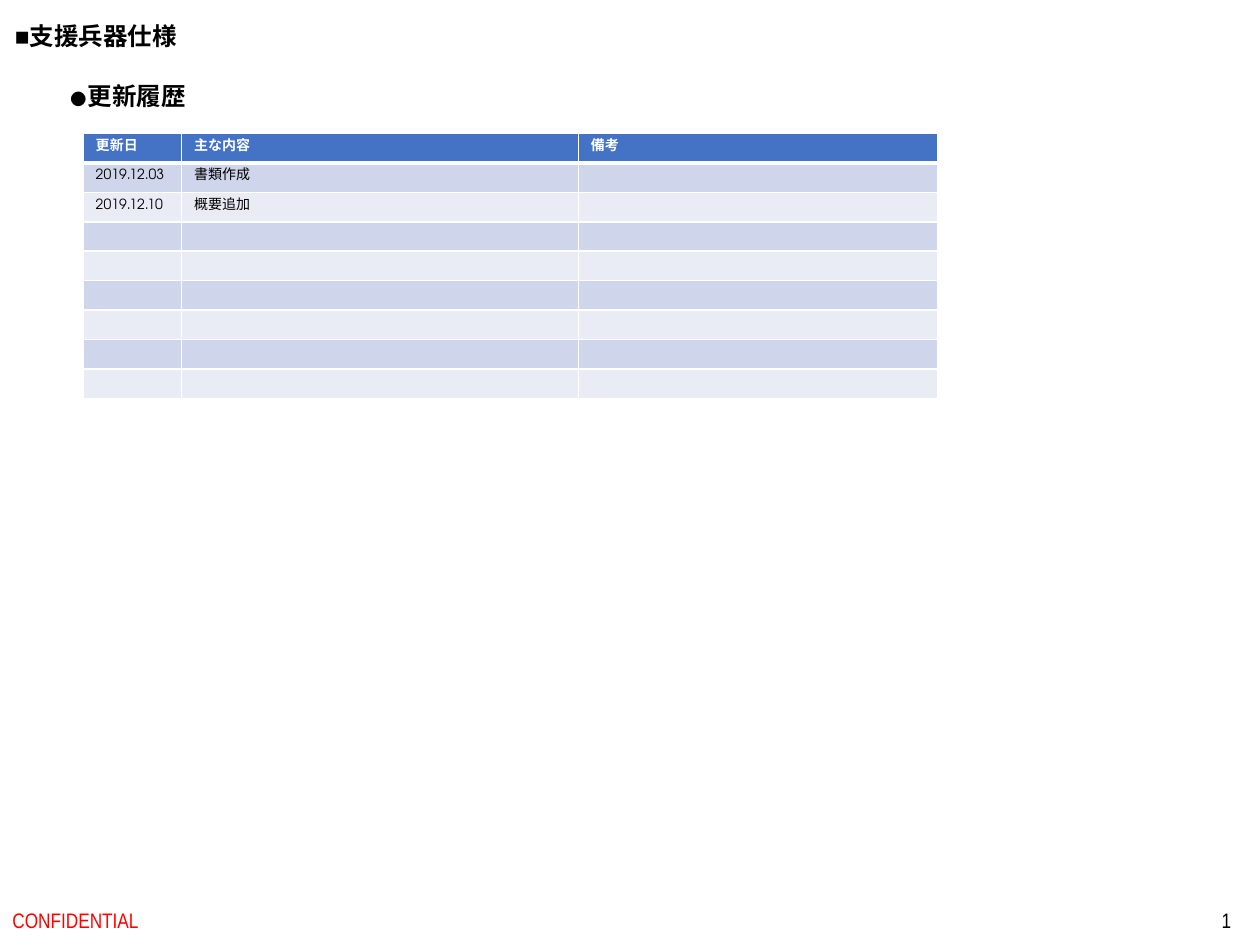
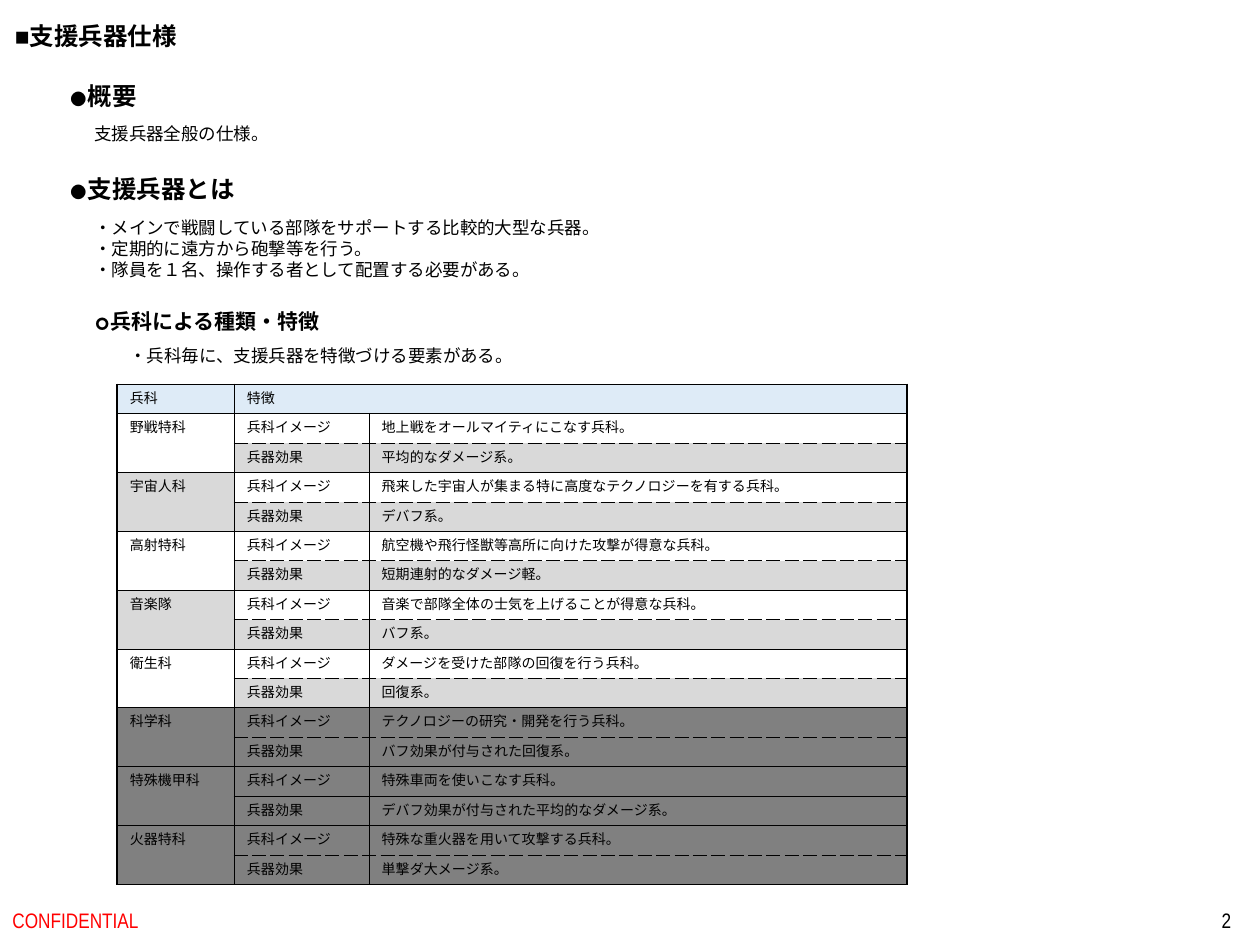
from dataclasses import dataclass

from lxml.etree import SubElement
from pptx import Presentation
from pptx.dml.color import RGBColor
from pptx.enum.text import MSO_ANCHOR, MSO_AUTO_SIZE, PP_ALIGN
from pptx.oxml.ns import qn
from pptx.util import Inches, Pt

BLACK = RGBColor(0x00, 0x00, 0x00)
WHITE = RGBColor(0xFF, 0xFF, 0xFF)
RED = RGBColor(0xFF, 0x00, 0x00)
HEADER_BLUE = RGBColor(0x44, 0x72, 0xC4)
BAND_DARK = RGBColor(0xCF, 0xD5, 0xEA)
BAND_LIGHT = RGBColor(0xE9, 0xEB, 0xF5)
HEADER_PALE = RGBColor(0xDE, 0xEB, 0xF7)
LIGHT_GRAY = RGBColor(0xD9, 0xD9, 0xD9)
DARK_GRAY = RGBColor(0x80, 0x80, 0x80)

BODY_FONT = "TeX Gyre Adventor"
TITLE_FONT = "Arial"
FOOTER_FONT = "Arial Narrow"


@dataclass(frozen=True)
class TextStyle:
    size: float
    font: str = BODY_FONT
    color: RGBColor = BLACK
    bold: bool = False


@dataclass(frozen=True)
class Label:
    left: float
    top: float
    width: float
    height: float
    text: str
    style: TextStyle


@dataclass(frozen=True)
class Border:
    width: float
    color: RGBColor = BLACK
    dash: str = "solid"


@dataclass(frozen=True)
class Branch:
    name: str
    image: str
    effect: str
    available: bool = True
    dashed: bool = True


TITLE = TextStyle(14, TITLE_FONT, bold=True)
HEADING = TextStyle(14, bold=True)
SUBHEADING = TextStyle(12, bold=True)
BODY = TextStyle(10)
HISTORY_HEADER = TextStyle(8, color=WHITE, bold=True)
HISTORY_BODY = TextStyle(8)
BRANCH_TEXT = TextStyle(8, TITLE_FONT)

THICK = Border(1)
THIN = Border(0.5)
DASHED = Border(0.5, dash="sysDash")
WHITE_LINE = Border(1, WHITE)
WHITE_HEAVY = Border(3, WHITE)

PAGE_TITLE = Label(0.02, 0.12, 1.58, 0.34, "■支援兵器仕様", TITLE)

HISTORY_LABELS = [Label(0.45, 0.59, 1.18, 0.34, "●更新履歴", HEADING)]
HISTORY_ROWS = [
    ("更新日", "主な内容", "備考"),
    ("2019.12.03", "書類作成", ""),
    ("2019.12.10", "概要追加", ""),
] + [("", "", "")] * 6

OVERVIEW_LABELS = [
    Label(0.45, 0.59, 0.79, 0.34, "●概要", HEADING),
    Label(0.65, 0.93, 1.6, 0.27, "支援兵器全般の仕様。", BODY),
    Label(0.45, 1.33, 1.58, 0.34, "●支援兵器とは", HEADING),
    Label(0.65, 1.67, 4.27, 0.61,
          "・メインで戦闘している部隊をサポートする比較的大型な兵器。\n"
          "・定期的に遠方から砲撃等を行う。\n"
          "・隊員を１名、操作する者として配置する必要がある。", BODY),
    Label(0.65, 2.4, 2.05, 0.3, "○兵科による種類・特徴", SUBHEADING),
    Label(0.93, 2.69, 3.29, 0.27, "・兵科毎に、支援兵器を特徴づける要素がある。", BODY),
]
BRANCHES = [
    Branch("野戦特科", "地上戦をオールマイティにこなす兵科。", "平均的なダメージ系。"),
    Branch("宇宙人科", "飛来した宇宙人が集まる特に高度なテクノロジーを有する兵科。", "デバフ系。"),
    Branch("高射特科", "航空機や飛行怪獣等高所に向けた攻撃が得意な兵科。", "短期連射的なダメージ軽。"),
    Branch("音楽隊", "音楽で部隊全体の士気を上げることが得意な兵科。", "バフ系。"),
    Branch("衛生科", "ダメージを受けた部隊の回復を行う兵科。", "回復系。"),
    Branch("科学科", "テクノロジーの研究・開発を行う兵科。", "バフ効果が付与された回復系。",
           available=False),
    Branch("特殊機甲科", "特殊車両を使いこなす兵科。", "デバフ効果が付与された平均的なダメージ系。",
           available=False, dashed=False),
    Branch("火器特科", "特殊な重火器を用いて攻撃する兵科。", "単撃ダ大メージ系。",
           available=False),
]


def write_text(frame, text: str, style: TextStyle, align=PP_ALIGN.LEFT) -> None:
    frame.text = text
    for paragraph in frame.paragraphs:
        paragraph.alignment = align
        font = paragraph.font
        font.size = Pt(style.size)
        font.bold = style.bold
        font.color.rgb = style.color
        font.name = style.font
        # East Asian glyphs follow the same line metrics
        defaults = paragraph._p.pPr.find(qn("a:defRPr"))
        SubElement(defaults, qn("a:ea"), typeface=style.font)
        if not text:
            SubElement(paragraph._p, qn("a:endParaRPr"), sz=str(style.size * 100))


def add_label(page, label: Label) -> None:
    box = page.shapes.add_textbox(Inches(label.left), Inches(label.top),
                                  Inches(label.width), Inches(label.height))
    box.text_frame.word_wrap = False
    box.text_frame.auto_size = MSO_AUTO_SIZE.SHAPE_TO_FIT_TEXT
    write_text(box.text_frame, label.text, label.style)


def add_footer(page, left: float, width: float, text: str, color: RGBColor, align) -> None:
    box = page.shapes.add_textbox(Inches(left), Inches(7.1), Inches(width), Inches(0.4))
    box.text_frame.word_wrap = True
    box.text_frame.vertical_anchor = MSO_ANCHOR.MIDDLE
    write_text(box.text_frame, text, TextStyle(12, FOOTER_FONT, color), align)


def add_page(deck, labels: list[Label]):
    page = deck.slides.add_slide(deck.slide_layouts[6])
    add_footer(page, 0, 3.38, "CONFIDENTIAL", RED, PP_ALIGN.LEFT)
    add_footer(page, 7.62, 2.25, str(len(deck.slides)), BLACK, PP_ALIGN.RIGHT)
    for label in [PAGE_TITLE, *labels]:
        add_label(page, label)
    return page


def add_grid(page, left: float, top: float, height: float,
             widths: list[float], row_count: int):
    frame = page.shapes.add_table(row_count, len(widths), Inches(left), Inches(top),
                                  Inches(sum(widths)), Inches(height))
    table = frame.table
    table.first_row = False
    table.horz_banding = False
    for column, width in zip(table.columns, widths):
        column.width = Inches(width)
    for row in table.rows:
        row.height = Inches(height / row_count)
    return table


def style_cell(cell, text: str, style: TextStyle, fill: RGBColor,
               left: Border, right: Border, top: Border, bottom: Border) -> None:
    write_text(cell.text_frame, text, style)
    properties = cell._tc.get_or_add_tcPr()
    sides = {"a:lnL": left, "a:lnR": right, "a:lnT": top, "a:lnB": bottom}
    for tag, border in sides.items():
        line = SubElement(properties, qn(tag), w=str(Pt(border.width)))
        solid = SubElement(line, qn("a:solidFill"))
        SubElement(solid, qn("a:srgbClr"), val=str(border.color))
        SubElement(line, qn("a:prstDash"), val=border.dash)
    cell.fill.solid()
    cell.fill.fore_color.rgb = fill


def add_history_table(page) -> None:
    table = add_grid(page, 0.66, 1.06, 2.1, [0.78, 3.15, 2.85], len(HISTORY_ROWS))
    for row, texts in enumerate(HISTORY_ROWS):
        style = HISTORY_BODY if row else HISTORY_HEADER
        fill = (BAND_DARK if row % 2 else BAND_LIGHT) if row else HEADER_BLUE
        top = WHITE_HEAVY if row == 1 else WHITE_LINE
        bottom = WHITE_LINE if row else WHITE_HEAVY
        for column, text in enumerate(texts):
            style_cell(table.cell(row, column), text, style, fill,
                       WHITE_LINE, WHITE_LINE, top, bottom)


def add_branch_table(page) -> None:
    table = add_grid(page, 0.93, 3.05, 3.97, [0.93, 1.07, 4.27], 1 + 2 * len(BRANCHES))

    # Header row
    for column, text in enumerate(["兵科", "特徴", ""]):
        style_cell(table.cell(0, column), text, BRANCH_TEXT, HEADER_PALE,
                   THICK, THICK, THICK, THICK)
    table.cell(0, 1).merge(table.cell(0, 2))

    # Two rows for each branch
    for index, branch in enumerate(BRANCHES):
        first = 1 + 2 * index
        name_fill = LIGHT_GRAY if index % 2 else WHITE
        fills = [WHITE, LIGHT_GRAY]
        if not branch.available:
            name_fill, fills = DARK_GRAY, [DARK_GRAY, DARK_GRAY]
        divider = DASHED if branch.dashed else THIN
        name_top = THICK if index < 3 else THIN
        name_bottom = THICK if index < 2 else THIN
        detail_top = THIN if index else THICK
        details = [("兵科イメージ", branch.image, detail_top, divider),
                   ("兵器効果", branch.effect, divider, THIN)]
        for offset, (kind, text, top, bottom) in enumerate(details):
            row = first + offset
            style_cell(table.cell(row, 0), "" if offset else branch.name, BRANCH_TEXT,
                       name_fill, THICK, THICK, name_top, name_bottom)
            style_cell(table.cell(row, 1), kind, BRANCH_TEXT, fills[offset],
                       THICK, THIN, top, bottom)
            style_cell(table.cell(row, 2), text, BRANCH_TEXT, fills[offset],
                       THIN, THICK, top, bottom)
        table.cell(first, 0).merge(table.cell(first + 1, 0))


def main() -> None:
    deck = Presentation()
    deck.slide_width = Inches(10)
    deck.slide_height = Inches(7.5)
    add_history_table(add_page(deck, HISTORY_LABELS))
    add_branch_table(add_page(deck, OVERVIEW_LABELS))
    deck.save("out.pptx")


if __name__ == "__main__":
    main()
